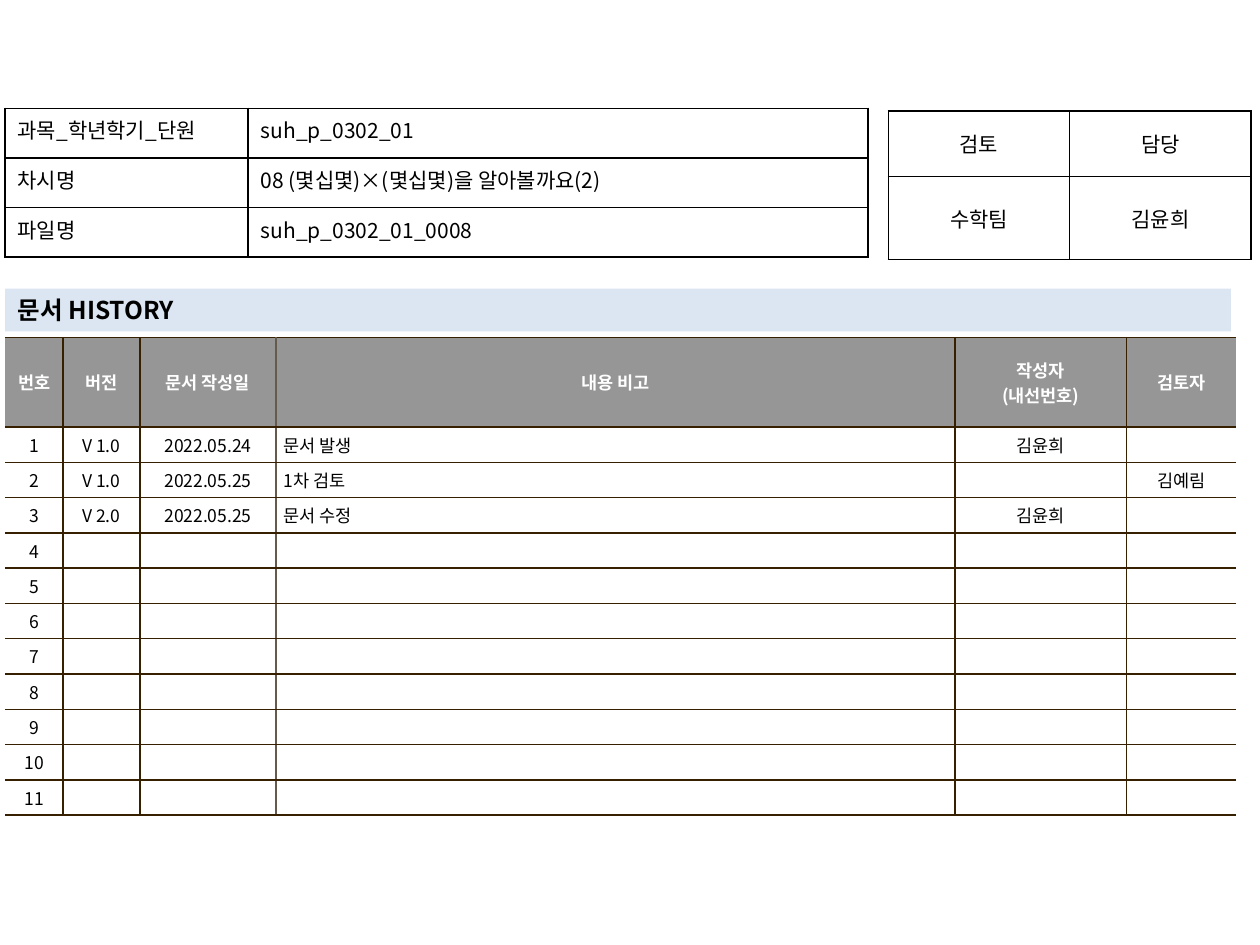
from lxml import etree
from pptx import Presentation
from pptx import util as u
from pptx.dml.color import RGBColor
from pptx.enum import text
from pptx.oxml.ns import qn

FONT = "Noto Sans CJK KR"
BLACK, WHITE, GRAY, BLUE = "000000", "FFFFFF", "969696", "DCE6F2"
BROWN, TAUPE = "362000", "645B4C"
LEFT, CENTER, JUSTIFY = text.PP_ALIGN.LEFT, text.PP_ALIGN.CENTER, text.PP_ALIGN.JUSTIFY
TOP, MIDDLE = text.MSO_ANCHOR.TOP, text.MSO_ANCHOR.MIDDLE

TITLE = "문서 HISTORY"
LESSON = [
    ("과목_학년학기_단원", "suh_p_0302_01"),
    ("차시명", "08 (몇십몇)×(몇십몇)을 알아볼까요(2)"),
    ("파일명", "suh_p_0302_01_0008"),
]
APPROVAL = [("검토", "담당"), ("수학팀", "김윤희")]
HEADER = ("번호", "버전", "문서 작성일", "내용 비고", "작성자\n(내선번호)", "검토자")
ENTRIES = [
    ("V 1.0", "2022.05.24", "문서 발생", "김윤희", ""),
    ("V 1.0", "2022.05.25", "1차 검토", "", "김예림"),
    ("V 2.0", "2022.05.25", "문서 수정", "김윤희", ""),
]
ENTRY_ROWS = 11
NOTE_COL = HEADER.index("내용 비고")
BLANK = ("",) * (len(HEADER) - 1)


def rgb(color):
    return RGBColor.from_string(color)


def style(p, size, color=BLACK, bold=False, align=LEFT):
    p.alignment = align
    f = p.font
    f.size, f.bold, f.name = u.Pt(size), bold, FONT
    f.color.rgb = rgb(color)
    etree.SubElement(p._p.pPr.find(qn("a:defRPr")), qn("a:ea"), typeface=FONT)
    if not p.runs:
        etree.SubElement(p._p, qn("a:endParaRPr"), sz=str(size * 100))


def fill(obj, color):
    if color:
        obj.fill.solid()
        obj.fill.fore_color.rgb = rgb(color)
    else:
        obj.fill.background()


def borders(cell, colors):
    tcPr = cell._tc.get_or_add_tcPr()
    for i, (side, color) in enumerate(zip("LRTB", colors)):
        ln = etree.Element(qn(f"a:ln{side}"), w=str(u.Pt(1)))
        if color:
            solid = etree.SubElement(ln, qn("a:solidFill"))
            etree.SubElement(solid, qn("a:srgbClr"), val=color)
        else:
            etree.SubElement(ln, qn("a:noFill"))
        tcPr.insert(i, ln)


def add_grid(slide, left, top, cols, heights, rows, look, margins):
    frame = slide.shapes.add_table(len(rows), len(cols), u.Inches(left), u.Inches(top),
                                   u.Inches(sum(cols)), u.Inches(sum(heights)))
    table = frame.table
    table.first_row = table.horz_banding = False
    for col, width in zip(table.columns, cols):
        col.width = u.Inches(width)
    for row, height in zip(table.rows, heights):
        row.height = u.Inches(height)
    for r, values in enumerate(rows):
        for c, value in enumerate(values):
            cell = table.cell(r, c)
            anchor, back, edges, font = look(r, c)
            cell.text = value
            cell.vertical_anchor = anchor
            cell.margin_left = cell.margin_right = u.Inches(margins[0])
            cell.margin_top = cell.margin_bottom = u.Inches(margins[1])
            fill(cell, back)
            borders(cell, edges)
            for p in cell.text_frame.paragraphs:
                style(p, **font)


def lesson_look(r, c):
    return TOP, None, [BLACK] * 4, dict(size=12, align=LEFT if c else JUSTIFY)


def approval_look(r, c):
    return MIDDLE, None, [BLACK] * 4, dict(size=12, align=CENTER)


def history_look(r, c):
    verticals = [None] + [BROWN] * (len(HEADER) - 1) + [None]
    verticals[NOTE_COL] = TAUPE
    edges = [verticals[c], verticals[c + 1], BROWN, BROWN]
    if r == 0:
        return MIDDLE, GRAY, edges, dict(size=10, color=WHITE, bold=True, align=CENTER)
    return MIDDLE, WHITE, edges, dict(size=10, align=LEFT if c == NOTE_COL else CENTER)


def main():
    prs = Presentation()
    prs.slide_width, prs.slide_height = u.Inches(10), u.Inches(7.5)
    slide = prs.slides.add_slide(prs.slide_layouts[5])

    title = slide.shapes.title
    title.left, title.top = u.Inches(0.04), u.Inches(2.29)
    title.width, title.height = u.Inches(9.73), u.Inches(0.34)
    fill(title, BLUE)
    tf = title.text_frame
    tf.text = TITLE
    tf.word_wrap = True
    tf.auto_size = text.MSO_AUTO_SIZE.NONE
    tf.vertical_anchor = MIDDLE
    tf.margin_top = tf.margin_bottom = 0
    style(tf.paragraphs[0], 14, bold=True)

    entries = ENTRIES + [BLANK] * (ENTRY_ROWS - len(ENTRIES))
    history = [HEADER] + [(str(n), *entry) for n, entry in enumerate(entries, 1)]
    add_grid(slide, 0.04, 2.68, (0.46, 0.61, 1.08, 5.39, 1.36, 0.87),
             [0.71] + [0.28] * ENTRY_ROWS, history, history_look, (0.06, 0.04))
    add_grid(slide, 7.05, 0.88, (1.44, 1.44), (0.52, 0.66), APPROVAL,
             approval_look, (0.1, 0.05))
    add_grid(slide, 0.04, 0.86, (1.93, 4.92), [1.18 / 3] * 3, LESSON,
             lesson_look, (0.1, 0.05))
    prs.save("out.pptx")


if __name__ == "__main__":
    main()
